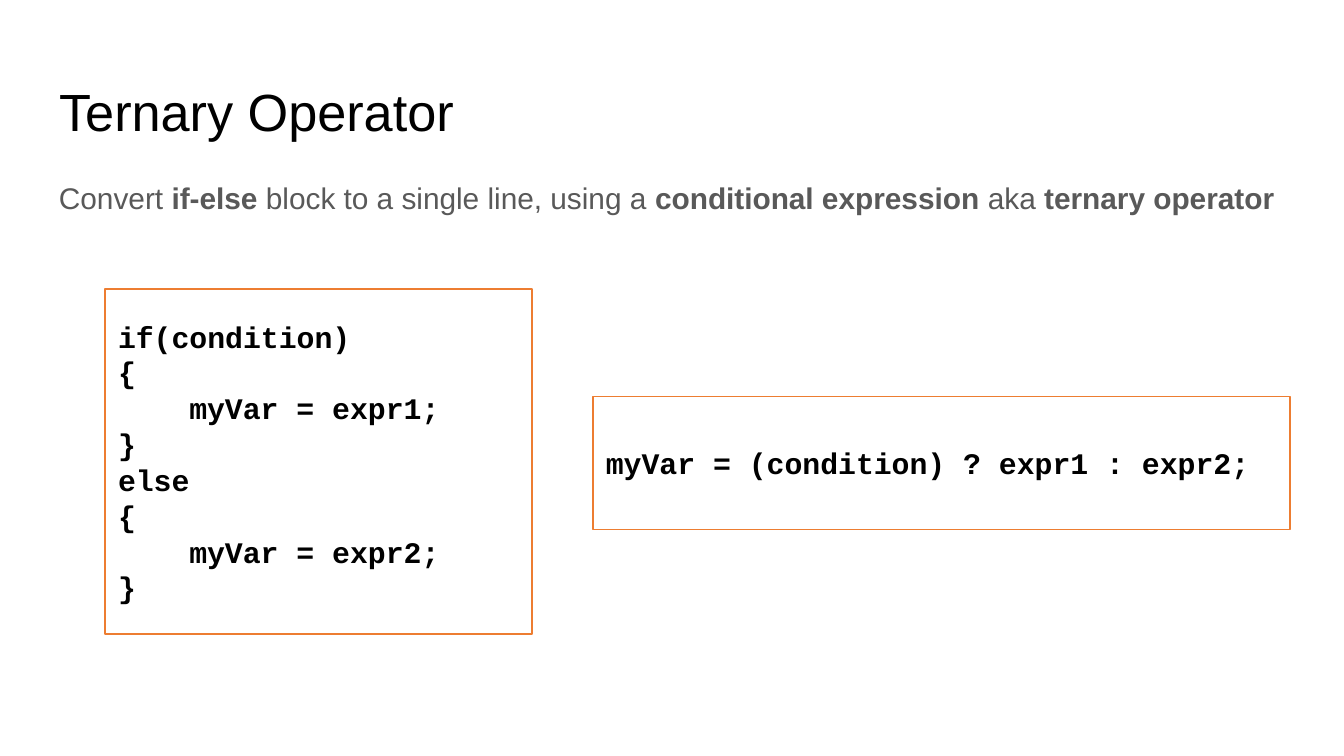
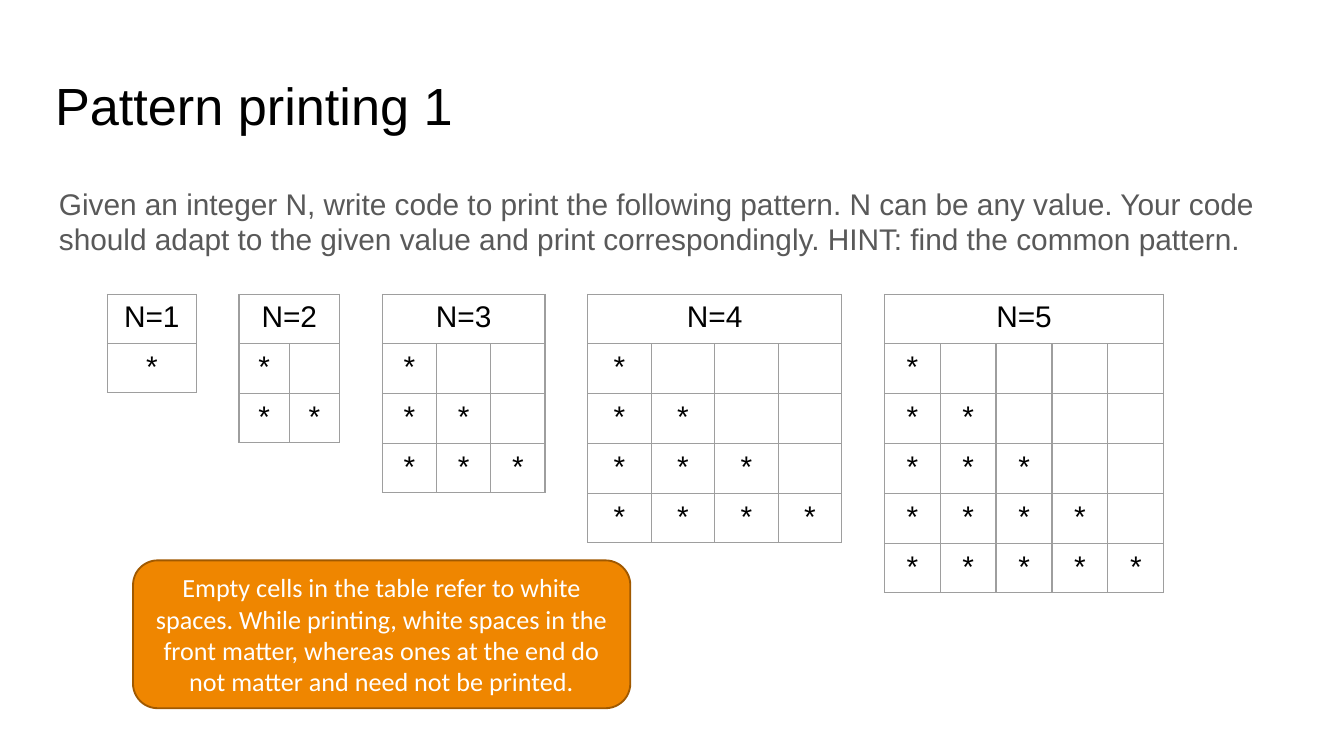
from lxml.etree import SubElement
from pptx import Presentation
from pptx.dml.color import RGBColor
from pptx.enum.shapes import MSO_SHAPE
from pptx.enum.text import MSO_ANCHOR, MSO_AUTO_SIZE, PP_ALIGN
from pptx.oxml.ns import qn
from pptx.util import Inches, Pt

COLORS = {
    "title": "000000", "body": "595959", "code": "000000", "code_line": "ED7D31",
    "grid": "9E9E9E", "note": "EF8600", "note_line": "A05900", "note_text": "FFFFFF",
}
STYLES = {
    "title": {"name": "Arial", "size": Pt(28), "bold": False},
    "body": {"name": "Arial", "size": Pt(16)},
    "code": {"name": "Courier New", "size": Pt(16), "bold": True},
    "note_text": {"name": "Calibri", "size": Pt(14)},
}
SLIDE_SIZE = (10, 10 * 9 / 16)
LEFT, WIDTH = 0.34, 9.32
INSETS = (0.1, 0.05)
CODE_INDENT = 0.53  # four Courier characters at 16 pt

TERNARY_TITLE = "Ternary Operator"
TERNARY_INTRO = [
    ("Convert ", False), ("if-else", True),
    (" block to a single line, using a ", False), ("conditional expression", True),
    (" aka ", False), ("ternary operator", True),
]
# (box, [(indent level, code line)])
CODE_BOXES = [
    ((0.78, 2.15, 3.18, 2.57), [
        (0, "if(condition)"), (0, "{"), (1, "myVar = expr1;"), (0, "}"),
        (0, "else"), (0, "{"), (1, "myVar = expr2;"), (0, "}"),
    ]),
    ((4.41, 2.95, 5.19, 0.99), [(0, "myVar = (condition) ? expr1 : expr2;")]),
]

PATTERN_TITLE = "Pattern printing 1"
PATTERN_TASK = ("Given an integer N, write code to print the following pattern. "
                "N can be any value. Your code should adapt to the given value and "
                "print correspondingly. HINT: find the common pattern.")
PATTERN_WIDTHS = [0.66, 0.75, 1.21, 1.89, 2.08]  # tables for N = 1, 2, ...
PATTERN_LEFT, PATTERN_RIGHT, PATTERN_TOP = 0.8, 8.66, 2.19
PATTERN_GAP = ((PATTERN_RIGHT - PATTERN_LEFT - sum(PATTERN_WIDTHS))
               / (len(PATTERN_WIDTHS) - 1))
ROW_HEIGHT = 2.2 / (len(PATTERN_WIDTHS) + 1)
NOTE = ("Empty cells in the table refer to white spaces. While printing, white spaces "
        "in the front matter, whereas ones at the end do not matter and need not be printed.")


def rgb(key):
    return RGBColor.from_string(COLORS[key])


def inches(box):
    return [Inches(v) for v in box]


def add_run(p, text, style, color=None, **extra):
    r = p.add_run()
    r.text = text
    for attr, value in {**STYLES[style], **extra}.items():
        setattr(r.font, attr, value)
    r.font.color.rgb = rgb(color or style)


def set_frame(sp, anchor=MSO_ANCHOR.TOP, insets=INSETS):
    tf = sp.text_frame
    x, y = inches(insets)
    values = {"word_wrap": True, "auto_size": MSO_AUTO_SIZE.NONE, "vertical_anchor": anchor,
              "margin_left": x, "margin_right": x, "margin_top": y, "margin_bottom": y}
    for attr, value in values.items():
        setattr(tf, attr, value)
    return tf


def add_titled_slide(prs, title, **frame):
    s = prs.slides.add_slide(prs.slide_layouts[5])
    sp = s.shapes.title
    sp.left, sp.top, sp.width, sp.height = inches((LEFT, 0.49, WIDTH, 0.63))
    p = set_frame(sp, **frame).paragraphs[0]
    p.alignment = PP_ALIGN.LEFT
    add_run(p, title, "title")
    return s, p


def add_body(s, top, height, runs, insets=INSETS):
    sp = s.shapes.add_textbox(*inches((LEFT, top, WIDTH, height)))
    p = set_frame(sp, insets=insets).paragraphs[0]
    for text, bold in runs:
        add_run(p, text, "body", bold=bold)
    return p


def add_box(s, preset, box, line, fill=None):
    sp = s.shapes.add_shape(preset, *inches(box))
    sp.shadow.inherit = False
    if fill:
        sp.fill.solid()
        sp.fill.fore_color.rgb = rgb(fill)
    else:
        sp.fill.background()
    sp.line.color.rgb = rgb(line)
    sp.line.width = Pt(1)
    return set_frame(sp, MSO_ANCHOR.MIDDLE)


def add_code(s, box, lines):
    tf = add_box(s, MSO_SHAPE.RECTANGLE, box, "code_line")
    for i, (level, text) in enumerate(lines):
        p = tf.add_paragraph() if i else tf.paragraphs[0]
        p.alignment = PP_ALIGN.LEFT
        if level:
            p._p.get_or_add_pPr().set("marL", str(Inches(level * CODE_INDENT)))
        add_run(p, text, "code")


def format_cell(cell, text):
    tcPr = cell._tc.get_or_add_tcPr()
    for side in ("a:lnL", "a:lnR", "a:lnT", "a:lnB"):
        ln = SubElement(tcPr, qn(side), w=str(Pt(0.75)))
        fill = SubElement(ln, qn("a:solidFill"))
        SubElement(fill, qn("a:srgbClr"), val=COLORS["grid"])
    cell.fill.background()
    p = cell.text_frame.paragraphs[0]
    p.alignment = PP_ALIGN.CENTER
    if text:
        add_run(p, text, "body", "title", bold=False)
    else:  # keeps an empty cell from stretching its row
        SubElement(p._p, qn("a:endParaRPr"), sz="1600")


def add_pattern(s, n, left, width):
    """Add the star triangle of n rows under a merged heading."""
    rows = n + 1
    box = inches((left, PATTERN_TOP, width, rows * ROW_HEIGHT))
    table = s.shapes.add_table(rows, n, *box).table
    for flag in ("first_row", "horz_banding"):
        setattr(table, flag, False)
    for row in range(rows):
        for col in range(n):
            heading = f"N={n}" if row == col == 0 else ""
            format_cell(table.cell(row, col), "*" if col < row else heading)
    if n > 1:
        table.cell(0, 0).merge(table.cell(0, n - 1))


def build_ternary(prs):
    s, _ = add_titled_slide(prs, TERNARY_TITLE, insets=(0.1, 0.1))
    add_body(s, 1.2, 0.68, TERNARY_INTRO, insets=(0.1, 0.1)).line_spacing = 1.15
    for box, lines in CODE_BOXES:
        add_code(s, box, lines)


def build_pattern(prs):
    s, title = add_titled_slide(prs, PATTERN_TITLE, anchor=MSO_ANCHOR.MIDDLE,
                                insets=(0.07, 0.04))
    title.line_spacing = 0.9
    add_body(s, 1.33, 0.64, [(PATTERN_TASK, False)])
    left = PATTERN_LEFT
    for n, width in enumerate(PATTERN_WIDTHS, start=1):
        add_pattern(s, n, left, width)
        left += width + PATTERN_GAP
    tf = add_box(s, MSO_SHAPE.ROUNDED_RECTANGLE, (0.99, 4.17, 3.7, 1.1), "note_line", "note")
    p = tf.paragraphs[0]
    p.alignment = PP_ALIGN.CENTER
    add_run(p, NOTE, "note_text")


def main():
    prs = Presentation()
    prs.slide_width, prs.slide_height = inches(SLIDE_SIZE)
    build_ternary(prs)
    build_pattern(prs)
    prs.save("out.pptx")


if __name__ == "__main__":
    main()
